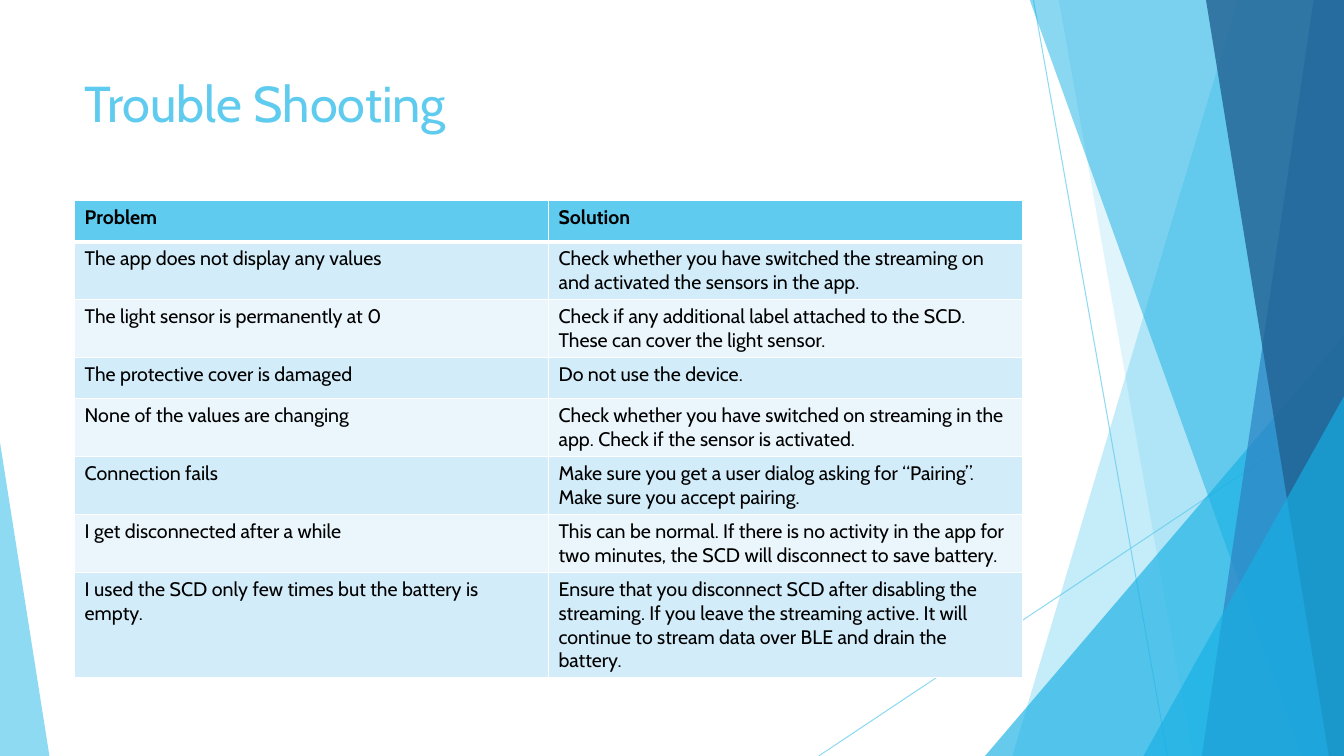
import pptx
import pptx.dml.color
import pptx.enum.shapes
import pptx.enum.text
import pptx.oxml
import pptx.oxml.ns
import pptx.util
from pptx.util import Inches

FONT = "Cabin"
SKY, CYAN, WHITE, BLACK = "5FCBEF", "17B0E4", "FFFFFF", "000000"
BANDS = ("D2ECF9", "EAF6FC")
TOP, RIGHT, BOTTOM = -0.01, 13.33, 7.5

ROWS = [
    ("Problem", "Solution"),
    ("The app does not display any values",
     "Check whether you have switched the streaming on and activated the sensors in the app."),
    ("The light sensor is permanently at 0",
     "Check if any additional label attached to the SCD. These can cover the light sensor."),
    ("The protective cover is damaged", "Do not use the device."),
    ("None of the values are changing",
     "Check whether you have switched on streaming in the app. Check if the sensor is activated."),
    ("Connection fails",
     "Make sure you get a user dialog asking for “Pairing”. Make sure you accept pairing."),
    ("I get disconnected after a while",
     "This can be normal. If there is no activity in the app for two minutes, "
     "the SCD will disconnect to save battery."),
    ("I used the SCD only few times but the battery is empty.",
     "Ensure that you disconnect SCD after disabling the streaming. If you leave the streaming "
     "active. It will continue to stream data over BLE and drain the battery."),
]


def set_color(color_format, color, opacity=100):
    color_format.rgb = pptx.dml.color.RGBColor.from_string(color)
    if opacity < 100:
        for element in color_format._xFill.iter(pptx.oxml.ns.qn("a:srgbClr")):
            alpha = element.makeelement(pptx.oxml.ns.qn("a:alpha"), {"val": str(opacity * 1000)})
            element.append(alpha)


def paint(shape, color, opacity):
    shape.shadow.inherit = False
    shape.fill.solid()
    set_color(shape.fill.fore_color, color, opacity)
    shape.line.fill.background()


def add_line(slide, start, end):
    points = [Inches(value) for value in (*start, *end)]
    line = slide.shapes.add_connector(pptx.enum.shapes.MSO_CONNECTOR.STRAIGHT, *points)
    line.line.width = pptx.util.Pt(0.75)
    line.line.fill.solid()
    set_color(line.line.fill.fore_color, SKY, 70)
    properties = line._element.spPr
    properties.append(properties.makeelement(pptx.oxml.ns.qn("a:effectLst"), {}))


def add_band(slide, top_left, bottom_left, color, opacity):
    corners = [(top_left, TOP), (RIGHT, TOP), (RIGHT, BOTTOM), (bottom_left, BOTTOM)]
    points = [(Inches(x), Inches(y)) for x, y in corners]
    builder = slide.shapes.build_freeform(*points[0])
    builder.add_line_segments(points[1:], close=True)
    paint(builder.convert_to_shape(), color, opacity)


def add_triangle(slide, left, top, width, apex, color, opacity):
    triangle = slide.shapes.add_shape(
        pptx.enum.shapes.MSO_SHAPE.ISOSCELES_TRIANGLE,
        Inches(left), Inches(top), Inches(width), Inches(BOTTOM - top))
    triangle.adjustments[0] = apex
    paint(triangle, color, opacity)


def format_text(text_frame, size, color, bold=False):
    for paragraph in text_frame.paragraphs:
        paragraph.alignment = pptx.enum.text.PP_ALIGN.LEFT
        for run in paragraph.runs:
            run.font.name = FONT
            run.font.size = pptx.util.Pt(size)
            run.font.bold = bold
            set_color(run.font.color, color)


def add_title(slide, text):
    title = slide.shapes.title
    title.left, title.top = Inches(0.74), Inches(0.67)
    title.width, title.height = Inches(9.4), Inches(1.44)
    title.text_frame.text = text
    title.text_frame.vertical_anchor = pptx.enum.text.MSO_ANCHOR.TOP
    title.text_frame.auto_size = pptx.enum.text.MSO_AUTO_SIZE.NONE
    format_text(title.text_frame, 36, SKY)


def add_border(cell, side, points):
    cell._tc.get_or_add_tcPr().append(pptx.oxml.parse_xml(
        f'<a:{side} {pptx.oxml.ns.nsdecls("a")} w="{pptx.util.Pt(points)}">'
        f'<a:solidFill><a:srgbClr val="{WHITE}"/></a:solidFill></a:{side}>'))


def format_cell(cell, row):
    header = row == 0
    format_text(cell.text_frame, 14, BLACK, header)
    widths = {"lnL": 1, "lnR": 1, "lnT": 3 if row == 1 else 1, "lnB": 3 if header else 1}
    for side, points in widths.items():
        add_border(cell, side, points)
    cell.fill.solid()
    set_color(cell.fill.fore_color, SKY if header else BANDS[(row - 1) % 2])


def add_problem_table(slide, rows):
    row_height = Inches(0.41)
    table = slide.shapes.add_table(
        len(rows), 2, Inches(0.74), Inches(1.99), Inches(9.4), row_height * len(rows)).table
    for row, texts in enumerate(rows):
        table.rows[row].height = row_height
        for column, text in enumerate(texts):
            cell = table.cell(row, column)
            cell.text_frame.text = text
            format_cell(cell, row)


def add_decoration(slide):
    add_line(slide, (10.25, 0), (11.58, BOTTOM))
    add_line(slide, (RIGHT, 4.03), (8.12, BOTTOM))
    add_band(slide, 12.28, 10.04, SKY, 36)
    add_band(slide, 10.5, 11.83, SKY, 20)
    add_triangle(slide, 9.77, 3.33, 3.56, 1, CYAN, 66)
    add_band(slide, 10.21, 12.91, CYAN, 50)
    add_band(slide, 13.03, 11.92, "2E83C3", 70)
    add_band(slide, 11.96, 13.18, "226292", 80)
    add_triangle(slide, 11.34, 3.93, 1.99, 1, CYAN, 66)
    add_triangle(slide, 0, 4.39, 0.49, 0, SKY, 70)


def main():
    presentation = pptx.Presentation()
    presentation.slide_width = Inches(13.33)
    presentation.slide_height = Inches(7.5)
    slide = presentation.slides.add_slide(presentation.slide_layouts[5])
    add_decoration(slide)
    add_title(slide, "Trouble Shooting")
    add_problem_table(slide, ROWS)
    presentation.save("out.pptx")


if __name__ == "__main__":
    main()
